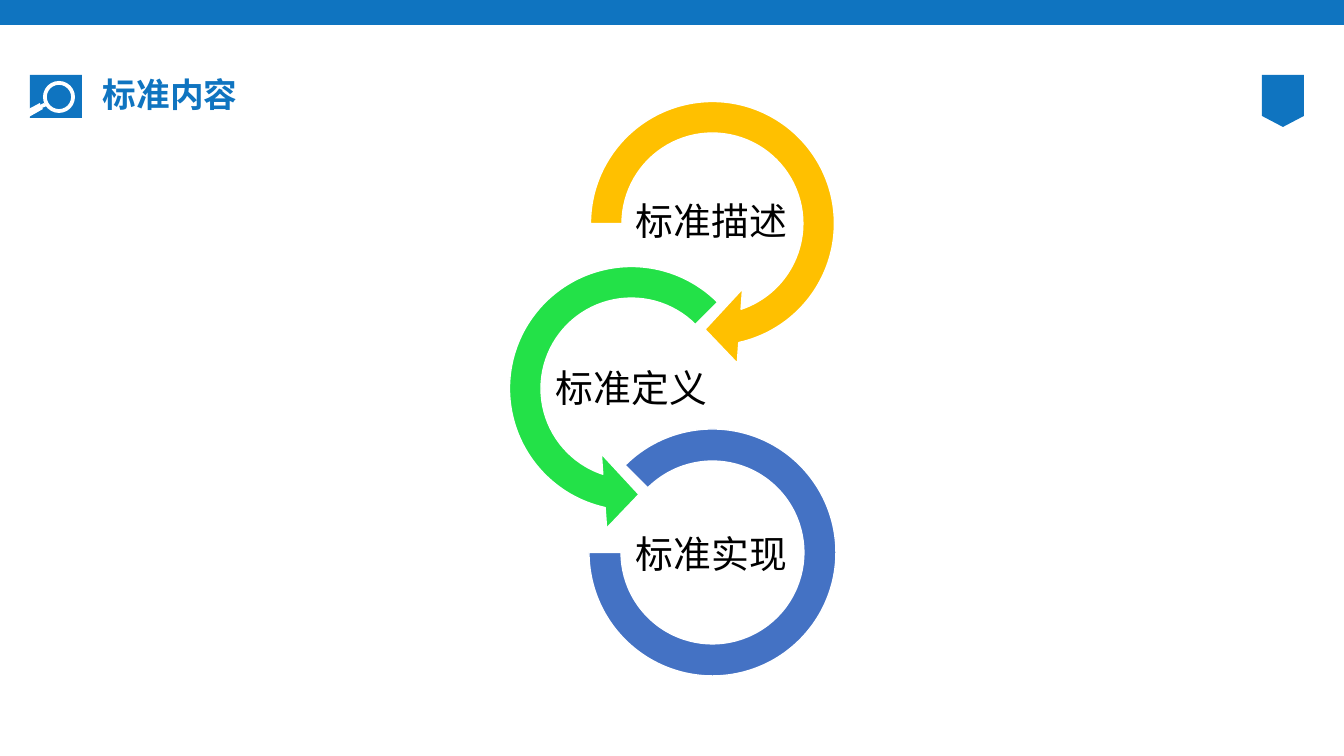
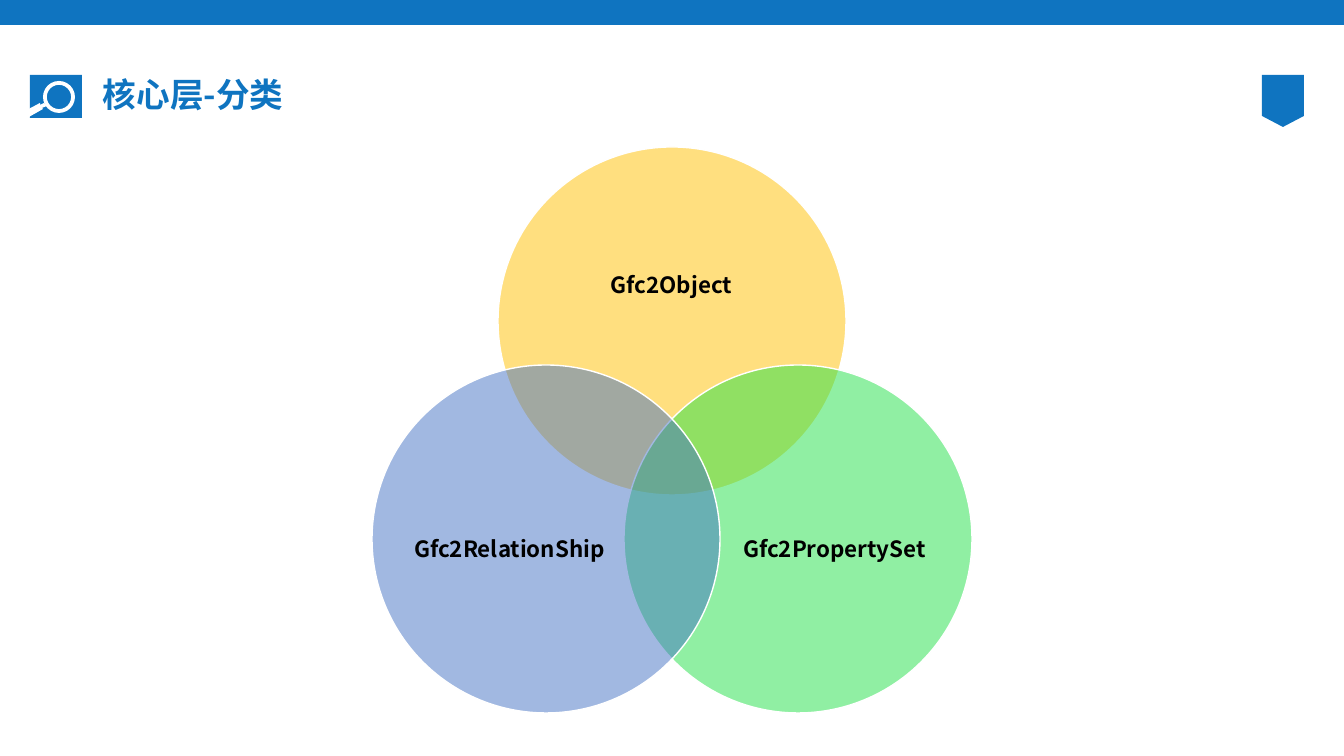
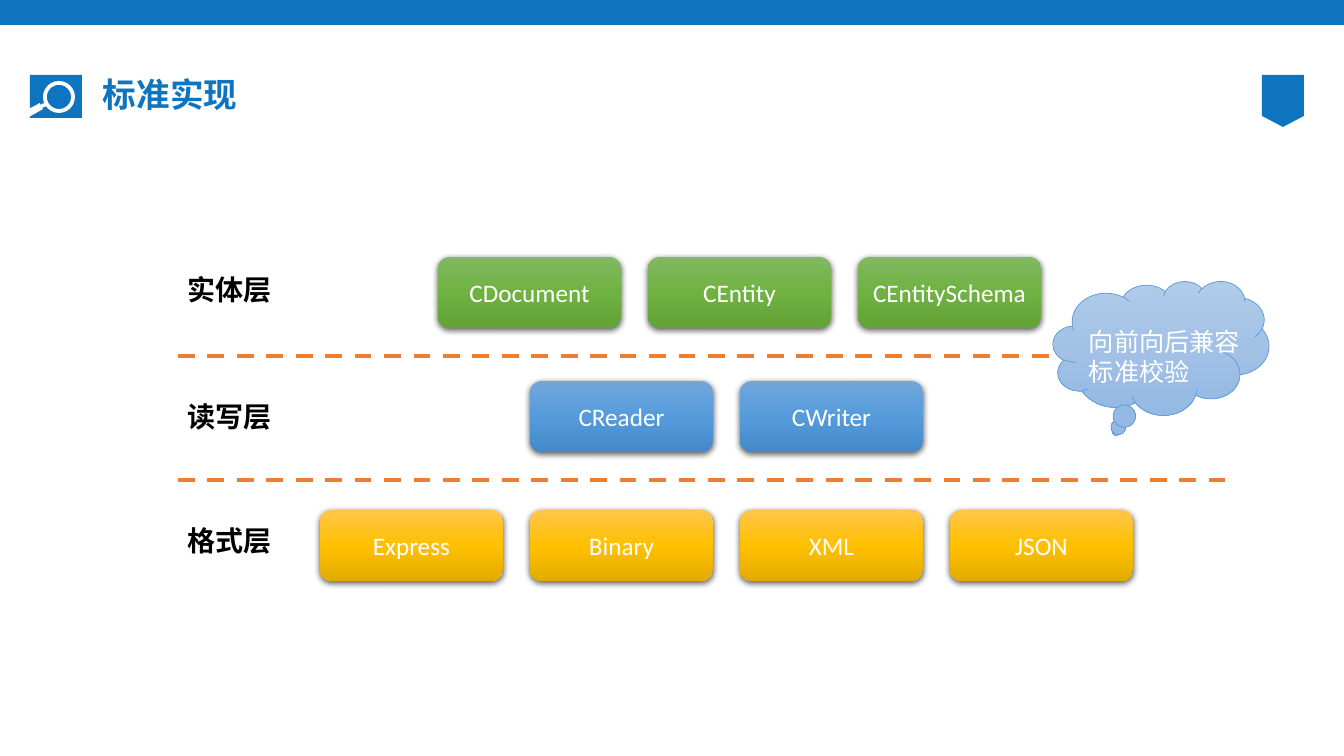
import pptx
import pptx.util
import pptx.dml.color
import pptx.enum.dml
import pptx.enum.shapes
import pptx.enum.text
import pptx.oxml.ns
import lxml.etree

RGB = pptx.dml.color.RGBColor
KIND = pptx.enum.shapes.MSO_SHAPE
ALIGN = pptx.enum.text.PP_ALIGN
ANCHOR = pptx.enum.text.MSO_ANCHOR
qn = pptx.oxml.ns.qn

WIDE, HIGH = 1344, 756
SCALE = 12192000 / WIDE  # EMU in one px

BLUE = RGB(0x0F, 0x74, 0xC0)
WHITE = RGB(0xFF, 0xFF, 0xFF)
BLACK = RGB(0, 0, 0)
GOLD = RGB(0xFF, 0xC0, 0x00)
LIME = RGB(0x23, 0xE1, 0x48)
NAVY = RGB(0x44, 0x72, 0xC4)
ORANGE = RGB(0xED, 0x7D, 0x31)
SKY = RGB(0x5B, 0x9B, 0xD5)

# Gradients, top to bottom
GREENS = (RGB(0x81, 0xB8, 0x61), RGB(0x6F, 0xB2, 0x42), RGB(0x62, 0xA3, 0x36))
BLUES = (RGB(0x71, 0xA6, 0xDB), RGB(0x55, 0x9B, 0xDB), RGB(0x44, 0x8A, 0xCA))
GOLDS = (RGB(0xFF, 0xC6, 0x4B), GOLD, RGB(0xE3, 0xAB, 0x00))
CLOUDS = (RGB(0xB1, 0xCB, 0xE9), RGB(0xA3, 0xC1, 0xE5), RGB(0x93, 0xB9, 0xE4))

CJK = "Noto Sans CJK SC"
LATIN = "Calibri"

# Shared icon and badge outlines
HANDLE = [(44, 103), (40, 105), (40, 103), (25, 111), (23, 113), (24, 116),
          (26, 118), (29, 117), (43, 109), (42, 108), (47, 106)]
BADGE = [(1262, 75), (1304, 75), (1304, 116), (1283, 127), (1262, 116)]

# Slide 1: label, preset, adjustments, colour, box of the arc, label corner
STEPS = [
    ("标准描述", KIND.CIRCULAR_ARROW, (0.11, 11.42, 45, 108, 0.13),
     GOLD, (569, 80, 287, 287), (632, 183)),
    ("标准定义", KIND.LEFT_CIRCULAR_ARROW, (0.11, 11.42, 63, 189, 0.13),
     LIME, (488, 245, 287, 287), (552, 350)),
    ("标准实现", KIND.BLOCK_ARC, (135, 108, 0.13),
     NAVY, (589, 429, 247, 247), (632, 516)),
]

# Slide 2: label, colour, corner of the circle, label box
DISC = 348
SETS = [
    ("Gfc2Object", GOLD, (498, 147), (544, 208, 255, 156)),
    ("Gfc2PropertySet", LIME, (624, 365), (730, 455, 209, 191)),
    ("Gfc2RelationShip", NAVY, (372, 365), (405, 455, 209, 191)),
]

# Slide 3: label, label top, first box left, box top, gradient, boxes
NODE_W, NODE_H, PITCH = 183, 71, 210
LAYERS = [
    ("实体层", 268, 438, 257, GREENS, ["CDocument", "CEntity", "CEntitySchema"]),
    ("读写层", 395, 530, 381, BLUES, ["CReader", "CWriter"]),
    ("格式层", 519, 320, 510, GOLDS, ["Express", "Binary", "XML", "JSON"]),
]
RULES = [356, 480]
EDGE, END = 178, 1225
NOTE = "向前向后兼容\n标准校验"


def px(n):
    return pptx.util.Emu(round(n * SCALE))


def sub(node, tag, **attrs):
    return lxml.etree.SubElement(node, qn(tag), **attrs)


def write(shape, text, size=18, font=CJK, color=BLACK, bold=False,
          align=ALIGN.CENTER, anchor=ANCHOR.MIDDLE, inset=None, space=None,
          wrap=True):
    frame = shape.text_frame
    frame.word_wrap = wrap
    frame.vertical_anchor = anchor
    if inset is not None:
        frame.margin_left = frame.margin_right = px(inset)
        frame.margin_top = frame.margin_bottom = px(inset)
    for i, line in enumerate(text.split("\n")):
        para = frame.add_paragraph() if i else frame.paragraphs[0]
        para.alignment = align
        if space:
            para.line_spacing = space
        run = para.add_run()
        run.text = line
        run.font.size = pptx.util.Pt(size)
        run.font.bold = bold
        run.font.color.rgb = color
        run.font.name = font
        sub(run.font._element, "a:ea", typeface=font)


def label(slide, text, box, **style):
    write(slide.shapes.add_textbox(*map(px, box)), text, **style)


def paint(shape, fill, line=None, width=1, alpha=None):
    shape.shadow.inherit = False
    if isinstance(fill, tuple) and not isinstance(fill, RGB):
        shape.fill.gradient()
        shape.fill.gradient_angle = 270
        stops = shape._element.spPr.find(".//" + qn("a:gsLst"))
        for old in list(stops):
            stops.remove(old)
        for i, color in enumerate(fill):
            stop = sub(stops, "a:gs", pos=str(i * 50000))
            sub(stop, "a:srgbClr", val=str(color))
    else:
        shape.fill.solid()
        shape.fill.fore_color.rgb = fill
    if alpha:
        color = shape._element.spPr.find(".//" + qn("a:srgbClr"))
        sub(color, "a:alpha", val=str(alpha * 1000))
    if line is None:
        shape.line.fill.background()
    else:
        shape.line.color.rgb = line
        shape.line.width = pptx.util.Pt(width)


def draw(slide, kind, box, fill, adjust=(), **style):
    shape = slide.shapes.add_shape(kind, *map(px, box))
    for i, value in enumerate(adjust):
        shape.adjustments[i] = value
    paint(shape, fill, **style)
    return shape


def outline(slide, points, fill):
    pen = slide.shapes.build_freeform(*points[0], scale=SCALE)
    pen.add_line_segments(points[1:], close=True)
    paint(pen.convert_to_shape(), fill)


def shade(shape):
    effects = shape._element.spPr.find(qn("a:effectLst"))
    glow = sub(effects, "a:outerShdw", blurRad="57150", dist="19050",
               dir="5400000", algn="ctr", rotWithShape="0")
    color = sub(glow, "a:srgbClr", val="000000")
    sub(color, "a:alpha", val="63000")


def rule(slide, y):
    line = slide.shapes.add_connector(
        pptx.enum.shapes.MSO_CONNECTOR.STRAIGHT, px(EDGE), px(y), px(END), px(y))
    line.line.color.rgb = ORANGE
    line.line.width = pptx.util.Pt(3)
    line.line.dash_style = pptx.enum.dml.MSO_LINE.DASH
    sub(line._element.spPr, "a:effectLst")


def start(deck, title):
    """Add a slide with the shared band, icon, badge and title."""
    slide = deck.slides.add_slide(deck.slide_layouts[6])
    draw(slide, KIND.RECTANGLE, (0, 0, WIDE, 25), BLUE)
    draw(slide, KIND.RECTANGLE, (30, 75, 52, 43), BLUE)
    draw(slide, KIND.DONUT, (43, 81, 32, 32), WHITE, (0.12,))
    outline(slide, HANDLE, WHITE)
    outline(slide, BADGE, BLUE)
    label(slide, title, (93, 75, 1159, 43), size=24, color=BLUE, bold=True,
          align=ALIGN.LEFT, space=0.9)
    return slide


def cycle(deck):
    slide = start(deck, "标准内容")
    for text, kind, adjust, color, box, spot in STEPS:
        draw(slide, kind, box, color, adjust, line=WHITE)
        label(slide, text, (*spot, 159, 80), size=27, inset=2, space=0.9)


def venn(deck):
    slide = start(deck, "核心层-分类")
    for text, color, spot, box in SETS:
        draw(slide, KIND.OVAL, (*spot, DISC, DISC), color, line=WHITE, alpha=50)
        label(slide, text, box, size=16, bold=True, inset=0, space=0.9)


def stack(deck):
    slide = start(deck, "标准实现")
    for y in RULES:
        rule(slide, y)
    for name, top, left, y, fill, nodes in LAYERS:
        label(slide, name, (EDGE, top, 105, 44), size=20, bold=True,
              align=ALIGN.LEFT, anchor=ANCHOR.TOP, wrap=False)
        for i, text in enumerate(nodes):
            box = (left + i * PITCH, y, NODE_W, NODE_H)
            node = draw(slide, KIND.ROUNDED_RECTANGLE, box, fill)
            shade(node)
            write(node, text, font=LATIN, color=WHITE)
    # Remark in the cloud
    draw(slide, KIND.CLOUD_CALLOUT, (1053, 281, 216, 134), CLOUDS,
         line=SKY, width=0.5)
    label(slide, NOTE, (1079, 321, 173, 72), color=WHITE, align=ALIGN.LEFT,
          anchor=ANCHOR.TOP, wrap=False)


def main():
    deck = pptx.Presentation()
    deck.slide_width, deck.slide_height = px(WIDE), px(HIGH)
    for build in (cycle, venn, stack):
        build(deck)
    deck.save("out.pptx")


if __name__ == "__main__":
    main()
